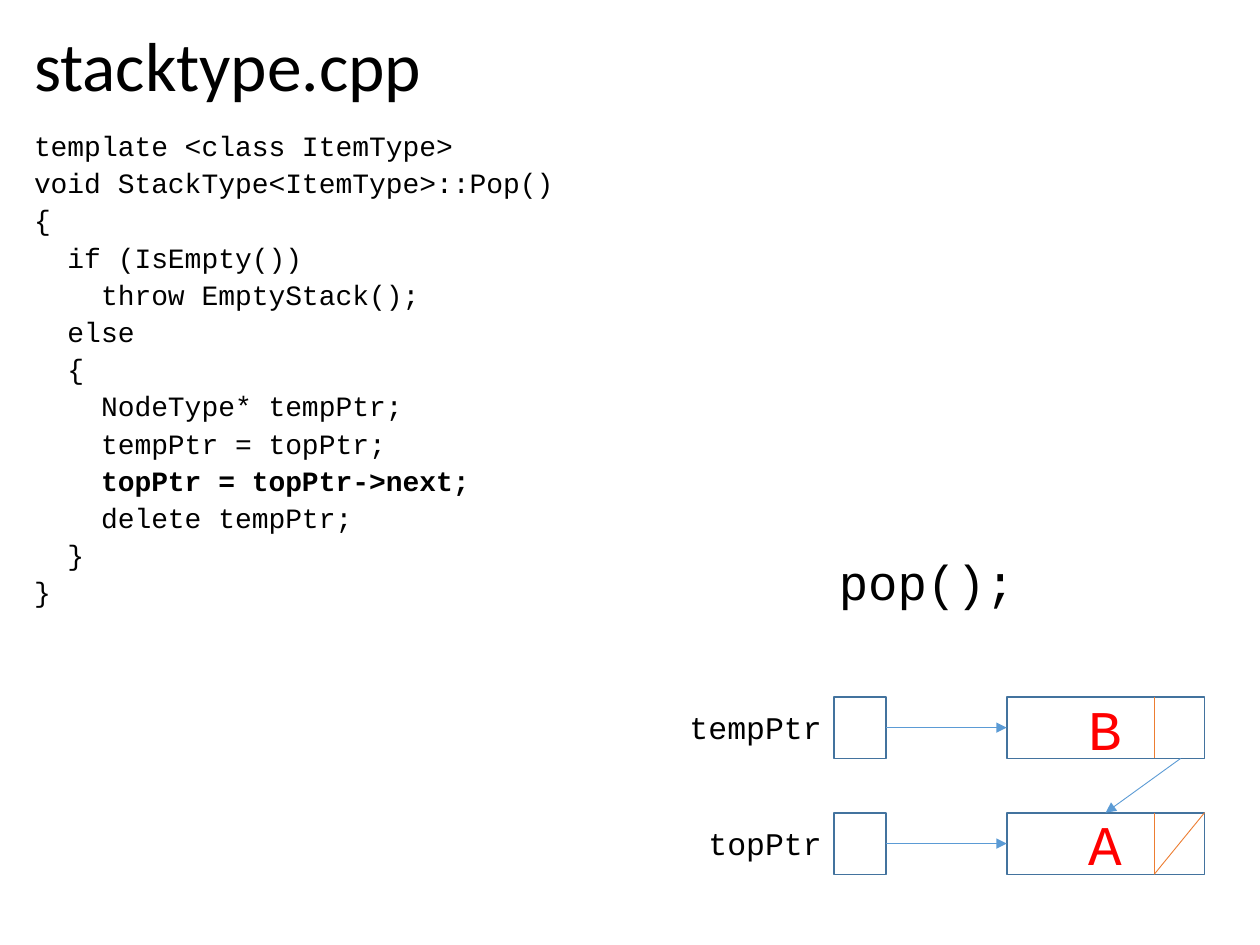
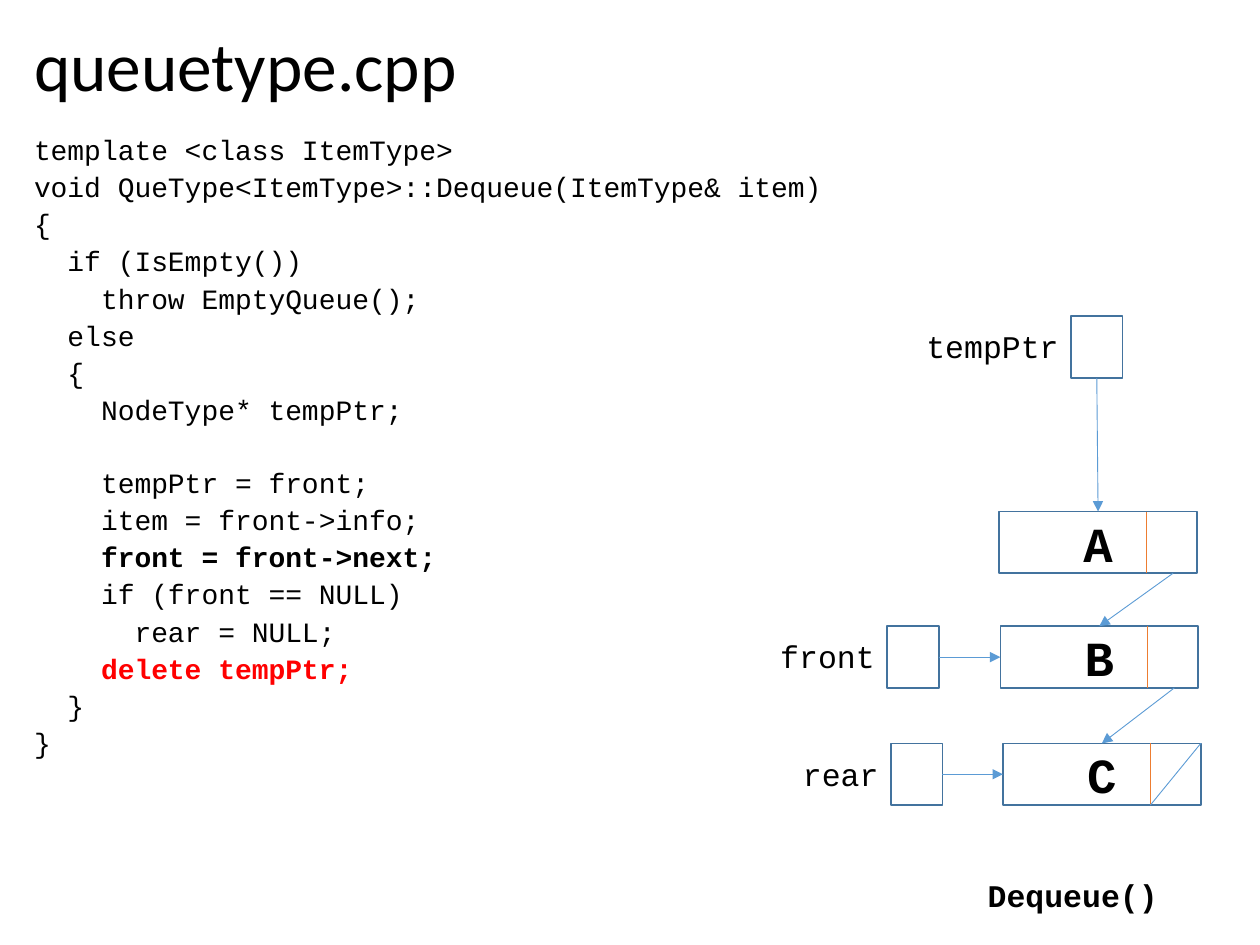
import lxml.etree
import pptx
import pptx.dml.color
import pptx.enum.shapes
import pptx.enum.text
import pptx.oxml.ns
import pptx.util

Inches = pptx.util.Inches
Pt = pptx.util.Pt
qn = pptx.oxml.ns.qn
PP_ALIGN = pptx.enum.text.PP_ALIGN
ANCHOR = pptx.enum.text.MSO_ANCHOR
AUTO_SIZE = pptx.enum.text.MSO_AUTO_SIZE

COLORS = {"text": "000000", "accent": "FF0000", "outline": "43739E",
          "arrow": "5B9BD5", "divider": "ED7D31"}
TITLE_FONT = "Calibri"
CODE_FONT = "Courier New"
TITLE_BOX = (0.17, 0.18, 9.62, 0.74)
NODE_WIDTH, POINTER_WIDTH, CELL_HEIGHT = 1.57, 0.41, 0.49
DIVIDER_OFFSET, NEXT_OFFSET = 1.17, 1.38
LABEL_WIDTH, LABEL_HEIGHT, LABEL_DROP = 1.52, 0.4, 0.04
CODE_GAP, CODE_LINE = 4, 20.3
TOP, LEFT, BOTTOM, RIGHT = range(4)

POP_CODE = """template <class ItemType>
void StackType<ItemType>::Pop()
{
  if (IsEmpty())
    throw EmptyStack();
  else
  {
    NodeType* tempPtr;
    tempPtr = topPtr;
    topPtr = topPtr->next;
    delete tempPtr;
  }
}"""

DEQUEUE_CODE = """template <class ItemType>
void QueType<ItemType>::Dequeue(ItemType& item)
{
  if (IsEmpty())
    throw EmptyQueue();
  else
  {
    NodeType* tempPtr;

    tempPtr = front;
    item = front->info;
    front = front->next;
    if (front == NULL)
      rear = NULL;
    delete tempPtr;
  }
}"""


def rgb(name):
    """Return the named colour."""
    return pptx.dml.color.RGBColor.from_string(COLORS[name])


def add_run(paragraph, text, size, color="text", bold=False, font=CODE_FONT):
    """Add one formatted run to a paragraph."""
    run = paragraph.add_run()
    run.text = text
    run.font.name = font
    run.font.size = Pt(size)
    run.font.bold = bold
    run.font.color.rgb = rgb(color)


def place(shape, box):
    """Move a shape to a box given in inches."""
    shape.left, shape.top, shape.width, shape.height = map(Inches, box)


def add_title(slide, text, box):
    """Fill and place the title placeholder."""
    title = slide.shapes.title
    place(title, box)
    frame = title.text_frame
    frame.auto_size = AUTO_SIZE.NONE
    frame.vertical_anchor = ANCHOR.MIDDLE
    paragraph = frame.paragraphs[0]
    paragraph.alignment = PP_ALIGN.LEFT
    paragraph.line_spacing = 0.9
    add_run(paragraph, text, 39.6, font=TITLE_FONT)


def add_code(slide, code, highlights, box):
    """Fill the body placeholder with code, colouring highlighted lines in bold."""
    body = slide.placeholders[1]
    place(body, box)
    frame = body.text_frame
    frame.auto_size = AUTO_SIZE.NONE
    gap = 0
    for line in code.splitlines():
        if not line:
            gap += CODE_LINE
            continue
        paragraph = frame.add_paragraph() if gap else frame.paragraphs[0]
        properties = paragraph._p.get_or_add_pPr()
        properties.set("marL", "0")
        properties.set("indent", "0")
        lxml.etree.SubElement(properties, qn("a:buNone"))
        paragraph.space_before = Pt(gap)
        paragraph.line_spacing = 0.9
        color = highlights.get(line.strip())
        add_run(paragraph, line, 16, color or "text", color is not None)
        gap = CODE_GAP


def add_label(slide, text, box, size=18, align=PP_ALIGN.LEFT, bold=False):
    """Add a text box with one line of code font."""
    label = slide.shapes.add_textbox(*map(Inches, box))
    frame = label.text_frame
    frame.word_wrap = True
    frame.auto_size = AUTO_SIZE.SHAPE_TO_FIT_TEXT
    paragraph = frame.paragraphs[0]
    paragraph.alignment = align
    add_run(paragraph, text, size, bold=bold)


def add_cell(slide, left, top, width):
    """Add an unfilled memory cell."""
    cell = slide.shapes.add_shape(
        pptx.enum.shapes.MSO_SHAPE.RECTANGLE,
        *map(Inches, (left, top, width, CELL_HEIGHT)))
    cell.shadow.inherit = False
    cell.fill.background()
    cell.line.color.rgb = rgb("outline")
    cell.line.width = Pt(1)
    return cell


def add_line(slide, start, end, color, arrow=False):
    """Add a thin straight connector between two points."""
    line = slide.shapes.add_connector(
        pptx.enum.shapes.MSO_CONNECTOR.STRAIGHT, *map(Inches, start + end))
    line.line.color.rgb = rgb(color)
    line.line.width = Pt(0.5)
    properties = line._element.spPr
    if arrow:
        lxml.etree.SubElement(properties.find(qn("a:ln")), qn("a:tailEnd"), type="triangle")
    lxml.etree.SubElement(properties, qn("a:effectLst"))
    return line


def add_node(slide, letter, left, top, size, color, bold=False, null_color=None):
    """Add a list node with its value and next cell, struck through when null."""
    node = add_cell(slide, left, top, NODE_WIDTH)
    frame = node.text_frame
    frame.vertical_anchor = ANCHOR.MIDDLE
    paragraph = frame.paragraphs[0]
    paragraph.alignment = PP_ALIGN.CENTER
    add_run(paragraph, letter, size, color, bold)
    divider, bottom = left + DIVIDER_OFFSET, top + CELL_HEIGHT
    add_line(slide, (divider, top), (divider, bottom), "divider")
    if null_color:
        add_line(slide, (left + NODE_WIDTH, top), (divider, bottom), null_color)
    return node


def link_nodes(slide, nodes):
    """Draw an arrow from the next cell of each node to the following node."""
    for node, following in zip(nodes, nodes[1:]):
        start = ((node.left + Inches(NEXT_OFFSET)) / Inches(1),
                 (node.top + node.height) / Inches(1))
        arrow = add_line(slide, start, start, "arrow", arrow=True)
        arrow.end_connect(following, TOP)


def add_pointer(slide, name, left, top, target, sides=(RIGHT, LEFT)):
    """Add a labelled pointer cell joined to its target node."""
    cell = add_cell(slide, left, top, POINTER_WIDTH)
    add_label(slide, name, (left - LABEL_WIDTH, top + LABEL_DROP, LABEL_WIDTH, LABEL_HEIGHT),
              align=PP_ALIGN.RIGHT)
    arrow = add_line(slide, (left, top), (left, top), "arrow", arrow=True)
    arrow.begin_connect(cell, sides[0])
    arrow.end_connect(target, sides[1])


def add_stack(slide, left, top):
    """Draw the stack during a pop."""
    node_left, lower = left + 1.37, top + 0.92
    node_b = add_node(slide, "B", node_left, top, 32, "accent")
    node_a = add_node(slide, "A", node_left, lower, 32, "accent", null_color="divider")
    link_nodes(slide, [node_b, node_a])
    add_pointer(slide, "tempPtr", left, top, node_b)
    add_pointer(slide, "topPtr", left, lower, node_a)
    add_label(slide, "pop();", (left - 0.06, top - 1.2, 2.59, 0.57), size=28)


def add_queue(slide, left, top):
    """Draw the queue during a dequeue."""
    places = (("A", 0.89, 1.55, None), ("B", 0.9, 2.46, None), ("C", 0.92, 3.39, "arrow"))
    nodes = [add_node(slide, letter, left + x, top + y, 28, "text", True, null_color)
             for letter, x, y, null_color in places]
    link_nodes(slide, nodes)
    add_pointer(slide, "tempPtr", left + 1.46, top, nodes[0], (BOTTOM, TOP))
    add_pointer(slide, "front", left, top + 2.46, nodes[1])
    add_pointer(slide, "rear", left + 0.03, top + 3.39, nodes[2])
    add_label(slide, "Dequeue()", (left + 0.7, top + 4.39, 2.14, 0.4), bold=True)


def add_code_slide(presentation, title, code, highlights, code_box):
    """Add a slide with a file name and its code."""
    slide = presentation.slides.add_slide(presentation.slide_layouts[1])
    add_title(slide, title, TITLE_BOX)
    add_code(slide, code, highlights, code_box)
    return slide


def main():
    """Build and save the presentation."""
    presentation = pptx.Presentation()
    presentation.slide_width, presentation.slide_height = Inches(10), Inches(7.5)
    stack_slide = add_code_slide(
        presentation, "stacktype.cpp", POP_CODE,
        {"topPtr = topPtr->next;": "text"}, (0.17, 1, 9.62, 6.47))
    add_stack(stack_slide, 6.62, 5.53)
    queue_slide = add_code_slide(
        presentation, "queuetype.cpp", DEQUEUE_CODE,
        {"front = front->next;": "text", "delete tempPtr;": "accent"},
        (0.17, 1.03, 9.62, 5.73))
    add_queue(queue_slide, 7.04, 2.51)
    presentation.save("out.pptx")


if __name__ == "__main__":
    main()
